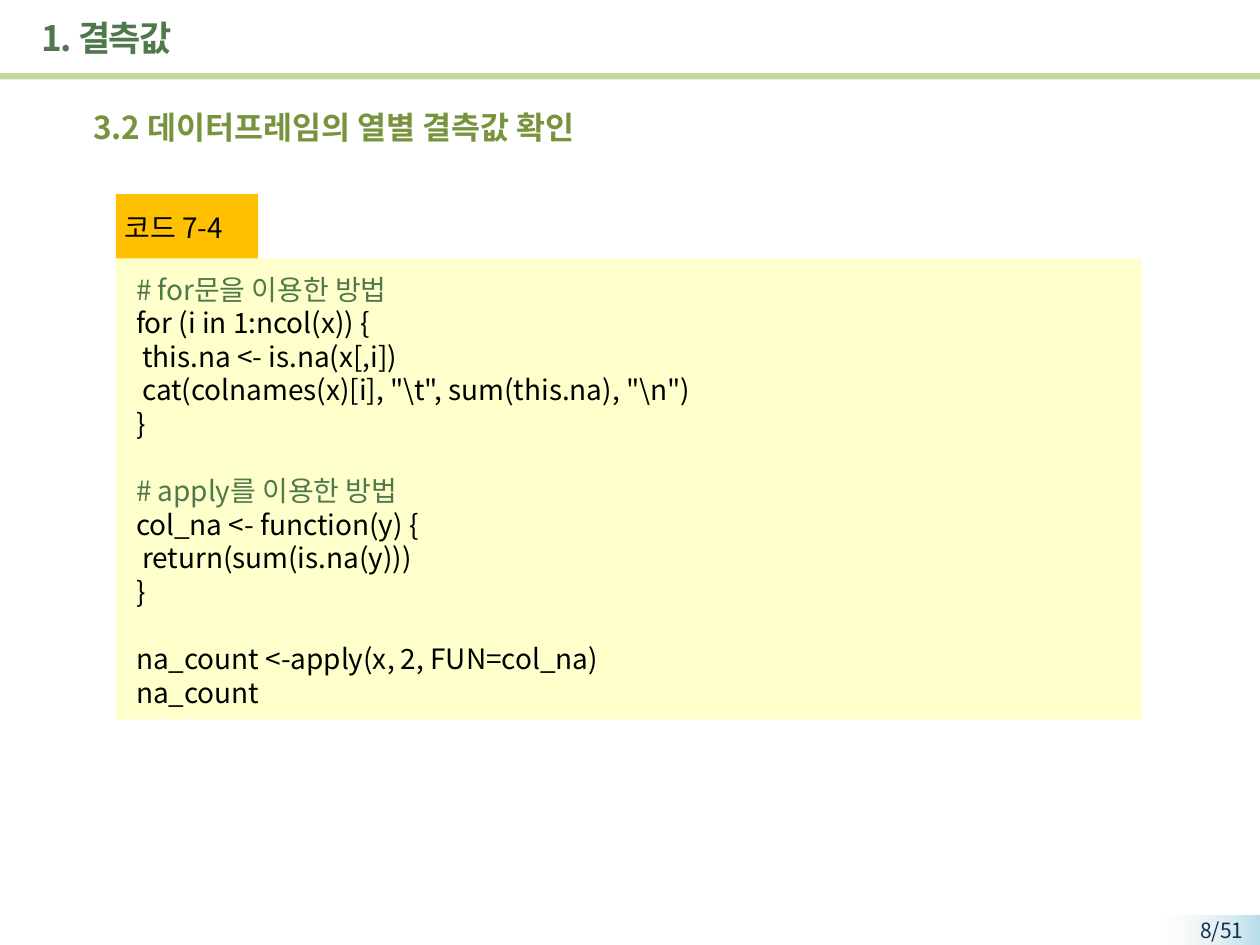
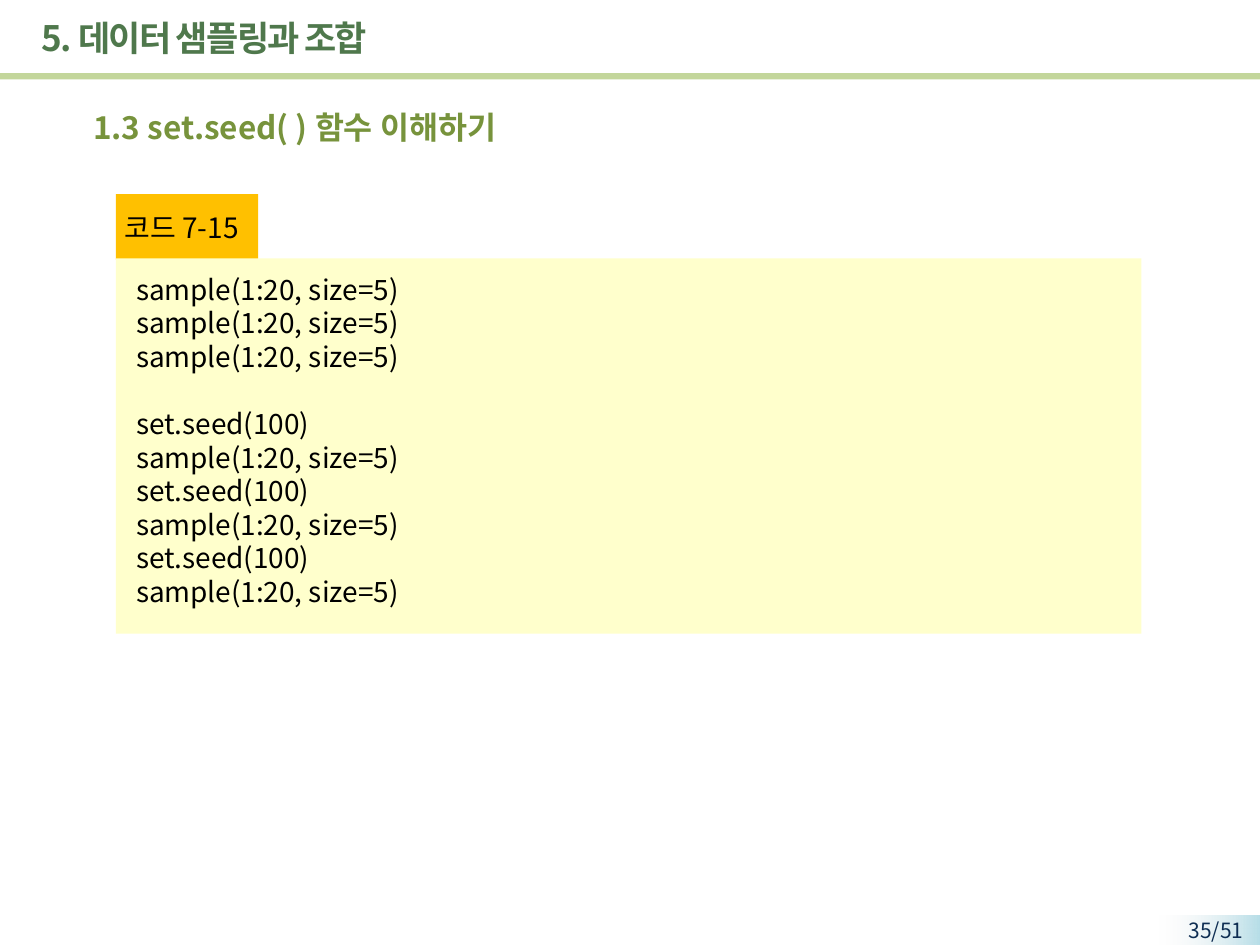
import pptx
import pptx.util
import pptx.dml.color
import pptx.enum.shapes
import pptx.enum.text
import pptx.oxml.ns
import lxml.etree
from dataclasses import dataclass

Inches, Pt = pptx.util.Inches, pptx.util.Pt
RGB = pptx.dml.color.RGBColor.from_string
RECT = pptx.enum.shapes.MSO_SHAPE.RECTANGLE
ANCHOR, ALIGN = pptx.enum.text.MSO_ANCHOR, pptx.enum.text.PP_ALIGN
qn = pptx.oxml.ns.qn


@dataclass(frozen=True)
class Theme:
    font: str = "Noto Sans CJK KR"
    green: str = "4F784C"
    olive: str = "77933C"
    rule: str = "C3D69B"
    tab: str = "FFC000"
    panel: str = "FFFFCC"
    ink: str = "000000"
    navy: str = "0F2E53"
    band: str = "B7DEE8"
    band_end: str = "F2F2F2"
    title_size: int = 20
    subtitle_size: int = 18
    code_size: int = 16
    page_size: int = 12
    line_height: float = 1.2


THEME = Theme()
PAGE_COUNT = 51

SLIDES = [
    {
        "title": "1. 결측값",
        "subtitle": "3.2 데이터프레임의 열별 결측값 확인",
        "label": "코드 7-4",
        "page": 8,
        "panel_height": 3.66,
        "blocks": [
            ["# for문을 이용한 방법",
             "for (i in 1:ncol(x)) {",
             " this.na <- is.na(x[,i])",
             r' cat(colnames(x)[i], "\t", sum(this.na), "\n")',
             "}"],
            ["# apply를 이용한 방법",
             "col_na <- function(y) {",
             " return(sum(is.na(y)))",
             "}"],
            ["na_count <-apply(x, 2, FUN=col_na)",
             "na_count"],
        ],
    },
    {
        "title": "5. 데이터 샘플링과 조합",
        "subtitle": "1.3 set.seed( ) 함수 이해하기",
        "label": "코드 7-15",
        "page": 35,
        "panel_height": 2.98,
        "blocks": [
            ["sample(1:20, size=5)"] * 3,
            ["set.seed(100)", "sample(1:20, size=5)"] * 3,
        ],
    },
]


def set_attrs(obj, values):
    for name, value in values.items():
        setattr(obj, name, value)


def setup_frame(tf, anchor=ANCHOR.TOP, insets=(0.1, 0.05, 0.1, 0.05)):
    set_attrs(tf, {"word_wrap": True, "vertical_anchor": anchor,
                   "auto_size": pptx.enum.text.MSO_AUTO_SIZE.NONE})
    sides = ("margin_left", "margin_top", "margin_right", "margin_bottom")
    set_attrs(tf, {side: Inches(v) for side, v in zip(sides, insets)})


def write(p, text, size, color, bold=False, align=ALIGN.LEFT):
    p.alignment = align
    r = p.add_run()
    r.text = text
    set_attrs(r.font, {"name": THEME.font, "size": Pt(size), "bold": bold})
    r.font.color.rgb = RGB(color)
    # Hangul takes the East Asian typeface
    lxml.etree.SubElement(r.font._element, qn("a:ea"), typeface=THEME.font)
    return r


def add_rect(slide, left, top, width, height, color=None):
    sp = slide.shapes.add_shape(RECT, Inches(left), Inches(top),
                                Inches(width), Inches(height))
    sp.shadow.inherit = False
    sp.line.fill.background()
    if color:
        sp.fill.solid()
        sp.fill.fore_color.rgb = RGB(color)
    return sp


def add_title(slide, text):
    sp = slide.shapes.title
    set_attrs(sp, {"left": Inches(0.23), "top": Inches(0.04),
                   "width": Inches(8.51), "height": Inches(0.52)})
    setup_frame(sp.text_frame, ANCHOR.MIDDLE)
    r = write(sp.text_frame.paragraphs[0], text, THEME.title_size, THEME.green, True)
    r.font._element.set("spc", "-100")


def add_page_band(slide, page):
    sp = add_rect(slide, 9.2, 7.27, 0.8, 0.24)
    sp.fill.gradient()
    sp.fill.gradient_angle = 180
    stops = sp.fill.gradient_stops
    for stop, color, position in zip(stops, (THEME.band, THEME.band_end), (0, 1)):
        stop.color.rgb = RGB(color)
        stop.position = position
    # The band fades out towards the left
    end_color = sp._element.spPr.findall(".//" + qn("a:srgbClr"))[-1]
    lxml.etree.SubElement(end_color, qn("a:alpha"), val="0")
    setup_frame(sp.text_frame, ANCHOR.MIDDLE, (0, 0, 0.13, 0.02))
    write(sp.text_frame.paragraphs[0], f"{page}/{PAGE_COUNT}",
          THEME.page_size, THEME.navy, align=ALIGN.RIGHT)


def add_subtitle(slide, text):
    sp = slide.shapes.add_textbox(Inches(0.64), Inches(0.81), Inches(9.18), Inches(0.4))
    setup_frame(sp.text_frame)
    write(sp.text_frame.paragraphs[0], text, THEME.subtitle_size, THEME.olive, True)


def add_code(slide, label, blocks, height):
    # Label tab
    tab = add_rect(slide, 0.92, 1.54, 1.13, 0.52, THEME.tab)
    setup_frame(tab.text_frame, ANCHOR.MIDDLE, (0.07, 0, 0, 0))
    write(tab.text_frame.paragraphs[0], label, THEME.code_size, THEME.ink)

    # Code panel, with one line of space between blocks
    panel = add_rect(slide, 0.92, 2.05, 8.14, height, THEME.panel)
    tf = panel.text_frame
    setup_frame(tf, insets=(0.16, 0.11, 0.1, 0))
    for b, block in enumerate(blocks):
        for i, line in enumerate(block):
            p = tf.add_paragraph() if b or i else tf.paragraphs[0]
            if b and not i:
                p.space_before = Pt(THEME.code_size * THEME.line_height)
            color = THEME.green if line.startswith("#") else THEME.ink
            write(p, line, THEME.code_size, color)


def build_slide(prs, content):
    slide = prs.slides.add_slide(prs.slide_layouts.get_by_name("Title Only"))
    add_page_band(slide, content["page"])
    add_rect(slide, 0, 0.58, 10, 0.05, THEME.rule)
    add_title(slide, content["title"])
    add_subtitle(slide, content["subtitle"])
    add_code(slide, content["label"], content["blocks"], content["panel_height"])


def main():
    prs = pptx.Presentation()
    set_attrs(prs, {"slide_width": Inches(10), "slide_height": Inches(7.5)})
    for content in SLIDES:
        build_slide(prs, content)
    prs.save("out.pptx")


if __name__ == "__main__":
    main()
